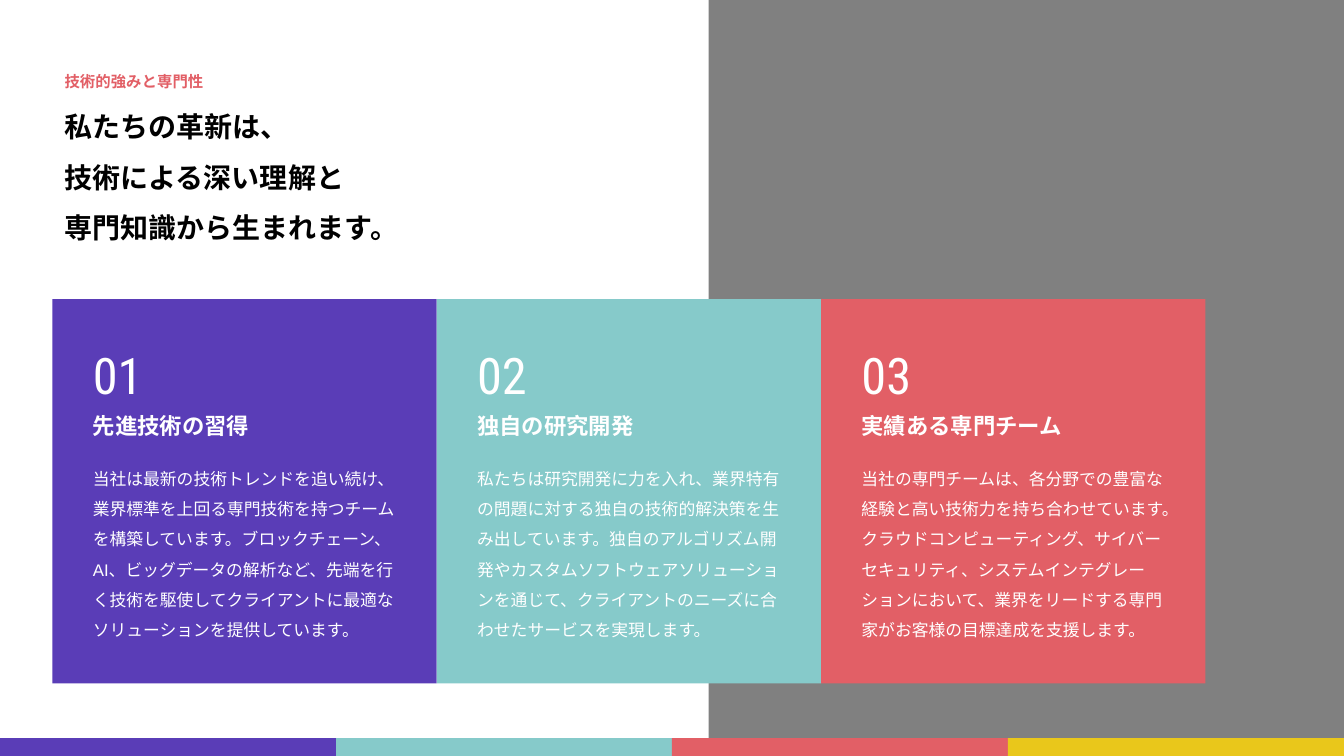
from pptx import Presentation
from pptx.dml.color import RGBColor
from pptx.enum.shapes import MSO_SHAPE
from pptx.enum.text import MSO_AUTO_SIZE, PP_ALIGN
from pptx.util import Pt

EMU_PER_PX = 9525
SLIDE_WIDTH, SLIDE_HEIGHT = 1280, 720

PURPLE = RGBColor(0x5A, 0x3D, 0xB7)
TEAL = RGBColor(0x86, 0xCA, 0xCA)
CORAL = RGBColor(0xE2, 0x5F, 0x66)
YELLOW = RGBColor(0xE9, 0xC7, 0x1B)
GRAY = RGBColor(0x80, 0x80, 0x80)
WHITE = RGBColor(0xFF, 0xFF, 0xFF)
BLACK = RGBColor(0x00, 0x00, 0x00)

BODY_FONT = "Arial"
NUMBER_FONT = "Roboto Condensed"

CARD_LEFT, CARD_TOP, CARD_SIZE = 50, 285, 366
CARD_INSET = 29
BAR_TOP = 703

# Card colour, heading, heading width, description
CARDS = [
    (PURPLE, "先進技術の習得", 274,
     "当社は最新の技術トレンドを追い続け、業界標準を上回る専門技術を持つチームを"
     "構築しています。ブロックチェーン、AI、ビッグデータの解析など、先端を行く技術を"
     "駆使してクライアントに最適なソリューションを提供しています。"),
    (TEAL, "独自の研究開発", 274,
     "私たちは研究開発に力を入れ、業界特有の問題に対する独自の技術的解決策を"
     "生み出しています。独自のアルゴリズム開発やカスタムソフトウェアソリューションを"
     "通じて、クライアントのニーズに合わせたサービスを実現します。"),
    (CORAL, "実績ある専門チーム", 306,
     "当社の専門チームは、各分野での豊富な経験と高い技術力を持ち合わせています。"
     "クラウドコンピューティング、サイバーセキュリティ、システムインテグレーションに"
     "おいて、業界をリードする専門家がお客様の目標達成を支援します。"),
]


def px(*lengths):
    return [length * EMU_PER_PX for length in lengths]


def add_block(slide, left, top, width, height, color):
    shape = slide.shapes.add_shape(MSO_SHAPE.RECTANGLE, *px(left, top, width, height))
    shape.shadow.inherit = False
    shape.fill.solid()
    shape.fill.fore_color.rgb = color
    shape.line.fill.background()


def add_text(slide, left, top, width, height, lines, size, color,
             bold=False, font_name=BODY_FONT, spacing=1.5, alignment=None):
    text_box = slide.shapes.add_textbox(*px(left, top, width, height))
    frame = text_box.text_frame
    frame.word_wrap = True
    frame.auto_size = MSO_AUTO_SIZE.SHAPE_TO_FIT_TEXT
    for index, line in enumerate(lines):
        paragraph = frame.add_paragraph() if index else frame.paragraphs[0]
        paragraph.line_spacing = spacing
        paragraph.alignment = alignment
        run = paragraph.add_run()
        run.text = line
        run.font.name = font_name
        run.font.size = Pt(size)
        run.font.bold = bold
        run.font.color.rgb = color


def add_card(slide, index, color, heading, heading_width, description):
    left = CARD_LEFT + index * CARD_SIZE
    text_left = left + CARD_INSET
    add_block(slide, left, CARD_TOP, CARD_SIZE, CARD_SIZE, color)
    add_text(slide, text_left, 294, 104, 85, [f"{index + 1:02}"], 36, WHITE,
             font_name=NUMBER_FONT, alignment=PP_ALIGN.JUSTIFY)
    add_text(slide, text_left, 375, heading_width, 44, [heading], 16, WHITE,
             bold=True, alignment=PP_ALIGN.JUSTIFY)
    add_text(slide, text_left, 432, 312, 180, [description], 12, WHITE)


def add_bottom_bars(slide):
    colors = [PURPLE, TEAL, CORAL, YELLOW]
    width = SLIDE_WIDTH // len(colors)
    for index, color in enumerate(colors):
        add_block(slide, index * width, BAR_TOP, width, SLIDE_HEIGHT - BAR_TOP, color)


def main():
    presentation = Presentation()
    presentation.slide_width, presentation.slide_height = px(SLIDE_WIDTH, SLIDE_HEIGHT)
    slide = presentation.slides.add_slide(presentation.slide_layouts[6])

    # Gray panel on the right
    add_block(slide, 675, 0, SLIDE_WIDTH - 675, 710, GRAY)

    # Label and headline
    add_text(slide, 52, 46, 496, 40, ["技術的強みと専門性"], 11, CORAL,
             bold=True, spacing=2.0)
    add_text(slide, 52, 84, 589, 150,
             ["私たちの革新は、", "技術による深い理解と", "専門知識から生まれます。"],
             20, BLACK, bold=True, alignment=PP_ALIGN.JUSTIFY)

    # Strength cards
    for index, card in enumerate(CARDS):
        add_card(slide, index, *card)

    # Colour bars along the bottom
    add_bottom_bars(slide)

    presentation.save("out.pptx")


if __name__ == "__main__":
    main()
